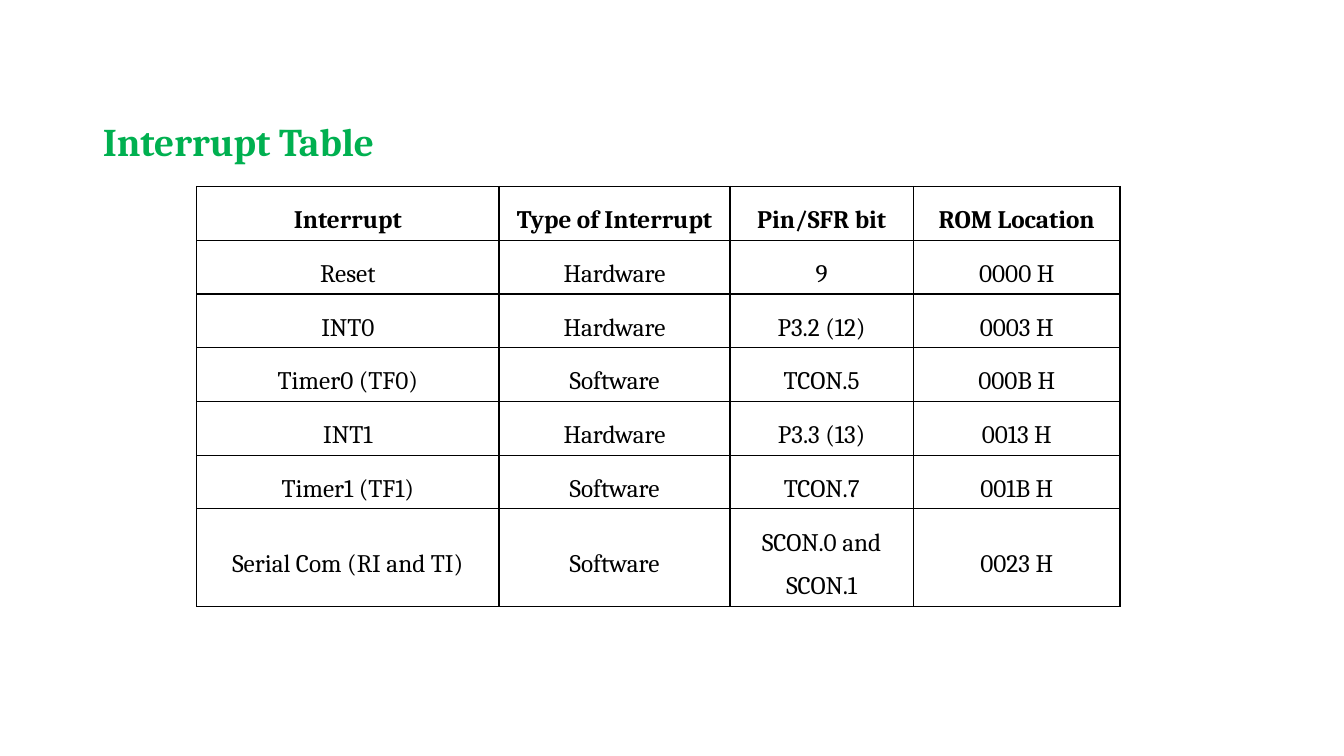
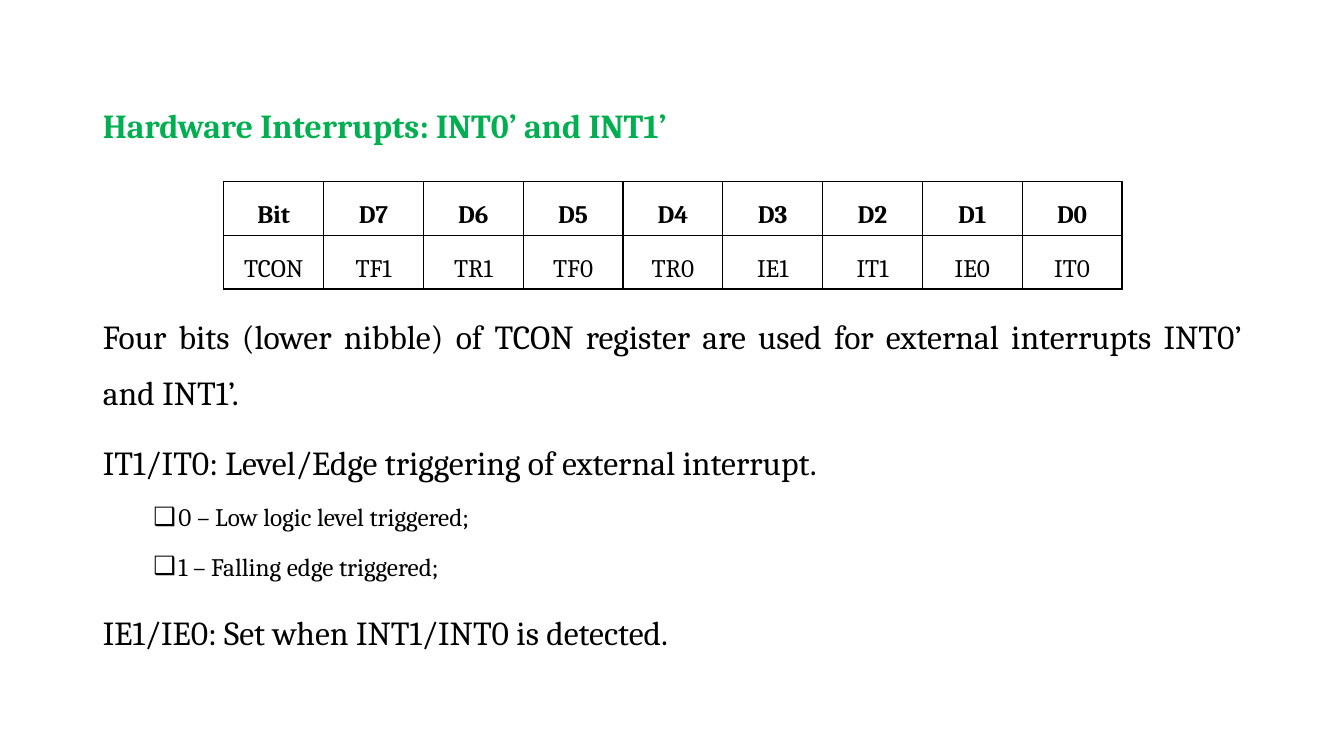
"""Build two slides on microcontroller interrupts."""
from lxml import etree
from pptx import Presentation
from pptx.dml import color
from pptx.enum import text as t
from pptx.oxml import ns
from pptx.util import Inches, Pt

COLORS = {"heading": "00B050", "ink": "000000", "paper": "FFFFFF"}
FONT = "Cambria"
MARGIN, CONTENT_WIDTH = 0.92, 11.5
ROW_HEIGHT = 0.53

INTERRUPTS = [
    ["Interrupt", "Type of Interrupt", "Pin/SFR bit", "ROM Location"],
    ["Reset", "Hardware", "9", "0000 H"],
    ["INT0", "Hardware", "P3.2 (12)", "0003 H"],
    ["Timer0 (TF0)", "Software", "TCON.5", "000B H"],
    ["INT1", "Hardware", "P3.3 (13)", "0013 H"],
    ["Timer1 (TF1)", "Software", "TCON.7", "001B H"],
    ["Serial Com (RI and TI)", "Software", "SCON.0 and SCON.1", "0023 H"],
]
TCON_BITS = [
    ["Bit", "D7", "D6", "D5", "D4", "D3", "D2", "D1", "D0"],
    ["TCON", "TF1", "TR1", "TF0", "TR0", "IE1", "IT1", "IE0", "IT0"],
]
TCON_NOTES = [
    (0, "Four bits (lower nibble) of TCON register are used for external "
        "interrupts INT0’ and INT1’."),
    (0, "IT1/IT0: Level/Edge triggering of external interrupt."),
    (1, "0 – Low logic level triggered;"),
    (1, "1 – Falling edge triggered;"),
    (0, "IE1/IE0: Set when INT1/INT0 is detected."),
]


def rgb(name):
    """Return the named palette colour."""
    return color.RGBColor.from_string(COLORS[name])


def write(paragraph, words, *, size, ink="ink", bold=False, align="JUSTIFY",
          spacing=1.5, before=0):
    """Put formatted words into a paragraph."""
    paragraph.alignment = getattr(t.PP_ALIGN, align)
    paragraph.line_spacing = spacing
    paragraph.space_before = Pt(before)
    run = paragraph.add_run()
    run.text = words
    run.font.name = FONT
    run.font.size = Pt(size)
    run.font.bold = bold
    run.font.color.rgb = rgb(ink)


def set_bullet(paragraph, symbol=None, indent=0, hanging=0):
    """Give a paragraph its indent and its bullet, or no bullet."""
    props = paragraph._p.get_or_add_pPr()
    props.set("marL", str(Inches(indent)))
    props.set("indent", str(-Inches(hanging)))
    if symbol:
        etree.SubElement(props, ns.qn("a:buChar"), char=symbol)
    else:
        etree.SubElement(props, ns.qn("a:buNone"))


def place(holder, top, height):
    """Move a placeholder to the content column and return its text frame."""
    holder.left, holder.top = Inches(MARGIN), Inches(top)
    holder.width, holder.height = Inches(CONTENT_WIDTH), Inches(height)
    frame = holder.text_frame
    frame.word_wrap = True
    frame.auto_size = t.MSO_AUTO_SIZE.NONE
    frame.vertical_anchor = t.MSO_ANCHOR.TOP
    return frame


def add_titled_slide(deck, layout, title, *, top, size, spacing):
    """Add a slide with a green heading."""
    slide = deck.slides.add_slide(deck.slide_layouts[layout])
    frame = place(slide.shapes.title, top, 0.8)
    write(frame.paragraphs[0], title, size=size, ink="heading", bold=True,
          spacing=spacing)
    return slide


def add_notes_list(slide, items, *, top, height):
    """Fill the body placeholder with statements and bulleted details."""
    frame = place(slide.placeholders[1], top, height)
    for number, (level, words) in enumerate(items):
        paragraph = frame.add_paragraph() if number else frame.paragraphs[0]
        paragraph.level = level
        write(paragraph, words, size=18 if level else 24, spacing=1.4,
              before=5 if level else 10)
        if level:
            set_bullet(paragraph, "❑", indent=0.75, hanging=0.25)
        else:
            set_bullet(paragraph)


def set_borders(cell, width=1):
    """Draw a line on all four sides of a cell."""
    props = cell._tc.get_or_add_tcPr()
    for side in ("lnL", "lnR", "lnT", "lnB"):
        line = etree.SubElement(props, ns.qn(f"a:{side}"), w=str(Pt(width)))
        fill = etree.SubElement(line, ns.qn("a:solidFill"))
        etree.SubElement(fill, ns.qn("a:srgbClr"), val=COLORS["ink"])


def add_grid(slide, rows, widths, *, left, top, heights):
    """Add a ruled white table with a bold first row."""
    frame = slide.shapes.add_table(
        len(rows), len(widths), Inches(left), Inches(top),
        Inches(sum(widths)), Inches(sum(heights)))
    grid = frame.table
    grid.first_row = grid.horz_banding = False
    for column, width in zip(grid.columns, widths):
        column.width = Inches(width)
    for r, (values, height) in enumerate(zip(rows, heights)):
        grid.rows[r].height = Inches(height)
        for c, value in enumerate(values):
            cell = grid.cell(r, c)
            set_borders(cell)
            cell.fill.solid()
            cell.fill.fore_color.rgb = rgb("paper")
            cell.vertical_anchor = t.MSO_ANCHOR.MIDDLE
            write(cell.text_frame.paragraphs[0], value, size=18,
                  bold=r == 0, align="CENTER")


def main():
    """Build and save the deck."""
    deck = Presentation()
    deck.slide_width, deck.slide_height = Inches(13.33), Inches(7.5)

    overview = add_titled_slide(deck, 5, "Interrupt Table",
                                top=0.88, size=28, spacing=1.5)
    add_grid(overview, INTERRUPTS, [3, 2.29, 1.82, 2.05], left=1.95, top=1.85,
             heights=[ROW_HEIGHT] * 6 + [0.96])

    hardware = add_titled_slide(deck, 1, "Hardware Interrupts: INT0’ and INT1’",
                                top=0.83, size=24, spacing=1.4)
    add_notes_list(hardware, TCON_NOTES, top=2.92, height=3.83)
    add_grid(hardware, TCON_BITS, [0.99] * 9, left=2.22, top=1.8,
             heights=[ROW_HEIGHT] * 2)

    deck.save("out.pptx")


if __name__ == "__main__":
    main()
